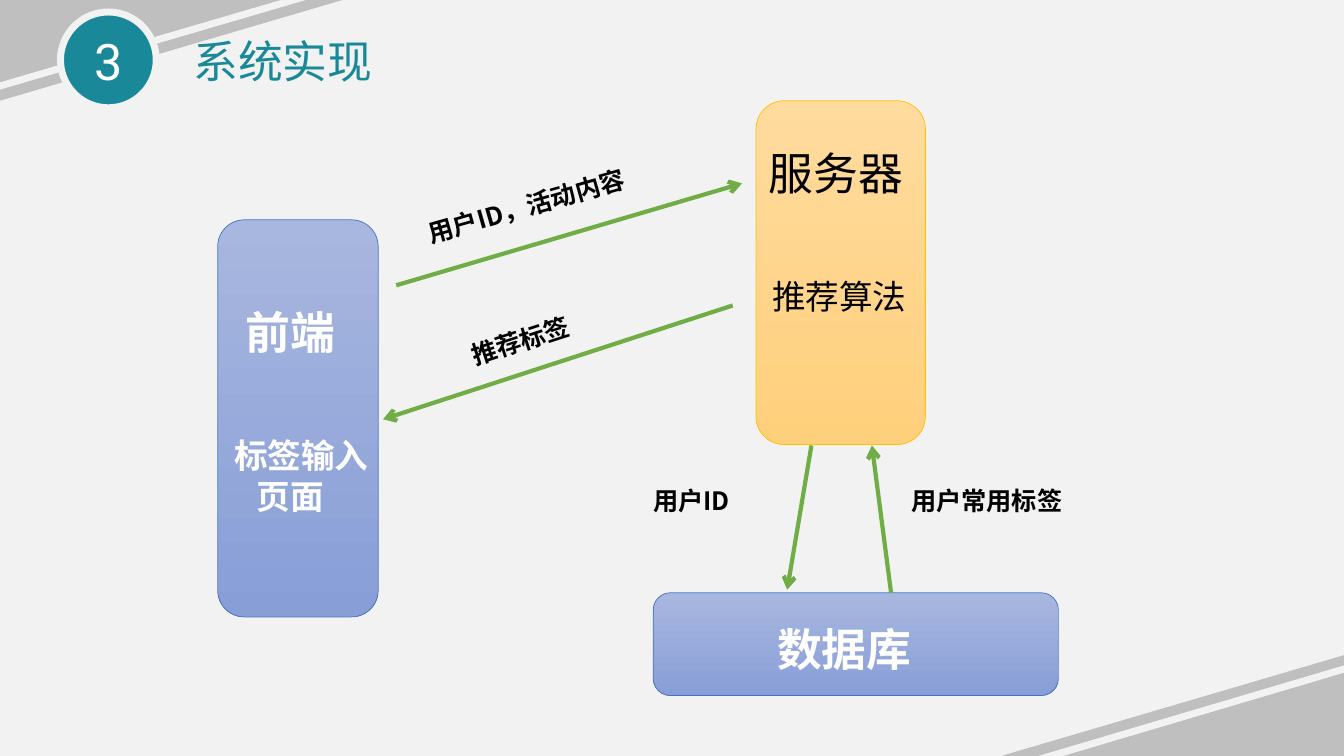
from lxml.etree import SubElement
from pptx import Presentation
from pptx.dml.color import RGBColor
from pptx.enum.shapes import MSO_CONNECTOR as Link, MSO_SHAPE as Kind
from pptx.enum.text import MSO_ANCHOR as Anchor, MSO_AUTO_SIZE as Auto, PP_ALIGN as Align
from pptx.oxml.ns import qn
from pptx.util import Pt

PAPER, GREY, TEAL = "F2F2F2", "BFBFBF", "198898"
GREEN, WHITE, BLACK = "70AD47", "FFFFFF", "000000"
BLUES = ("A8B7DF", "889ED7", "4472C4")
GOLDS = ("FFDB9E", "FFD07C", "FFC000")
NOTO = "Noto Sans CJK SC"


def tint(code):
    """Turn a hex string into a colour."""
    return RGBColor.from_string(code)


def add_form(slide, kind, box):
    """Add a preset shape without shadow."""
    form = slide.shapes.add_shape(kind, *map(Pt, box))
    form.shadow.inherit = False
    return form


def add_corner(slide, left, top, flip):
    """Add a grey corner triangle, mirrored along one axis."""
    form = add_form(slide, Kind.RIGHT_TRIANGLE, (left, top, 244.8, 72))
    form.fill.solid()
    form.fill.fore_color.rgb = tint(GREY)
    form.line.fill.background()
    form.element.spPr.get_or_add_xfrm().set(flip, "1")


def add_line(slide, ends, color, width, arrow=True):
    """Add a straight line, with an arrowhead at its end if wanted."""
    line = slide.shapes.add_connector(Link.STRAIGHT, *map(Pt, ends))
    line.line.color.rgb = tint(color)
    line.line.width = Pt(width)
    props = line.element.spPr
    if arrow:
        SubElement(props.find(qn("a:ln")), qn("a:tailEnd"), type="arrow")
    SubElement(props, qn("a:effectLst"))


def add_badge(slide, box, text):
    """Add the round section number."""
    form = add_form(slide, Kind.OVAL, box)
    form.fill.solid()
    form.fill.fore_color.rgb = tint(TEAL)
    form.line.color.rgb = tint(PAPER)
    form.line.width = Pt(5)
    frame = form.text_frame
    frame.text = text
    frame.vertical_anchor = Anchor.MIDDLE
    para = frame.paragraphs[0]
    para.alignment = Align.CENTER
    style(para, 36, WHITE, "Roboto", False)


def add_card(slide, box, colors):
    """Add a rounded card with a vertical gradient."""
    top, base, edge = colors
    form = add_form(slide, Kind.ROUNDED_RECTANGLE, box)
    form.fill.gradient()
    form.fill.gradient_angle = 270
    for stop, code in zip(form.fill.gradient_stops, (top, base)):
        stop.color.rgb = tint(code)
    form.line.color.rgb = tint(edge)
    form.line.width = Pt(0.5)


def style(para, size, color, font, bold):
    """Format every run of a paragraph."""
    for run in para.runs:
        run.font.size = Pt(size)
        run.font.bold = bold
        run.font.name = font
        run.font.color.rgb = tint(color)
        if font == NOTO:
            SubElement(run.font._element, qn("a:ea"), typeface=font)


def add_text(slide, box, lines, color=BLACK, font="Arial", bold=False, turn=0):
    """Add a text box of (text, size, indent, space before) lines."""
    label = slide.shapes.add_textbox(*map(Pt, box))
    label.rotation = turn
    frame = label.text_frame
    frame.word_wrap = True
    frame.auto_size = Auto.SHAPE_TO_FIT_TEXT
    frame.text = "\n".join(line[0] for line in lines)
    for para, (_, size, indent, gap) in zip(frame.paragraphs, lines):
        props = para._p.get_or_add_pPr()
        props.set("marL", str(Pt(indent)))
        props.set("indent", "0")
        if gap:
            para.space_before = Pt(gap)
        style(para, size, color, font, bold)


def main():
    """Build the system diagram slide."""
    deck = Presentation()
    deck.slide_width, deck.slide_height = Pt(960), Pt(540)
    slide = deck.slides.add_slide(deck.slide_layouts[6])
    slide.background.fill.solid()
    slide.background.fill.fore_color.rgb = tint(PAPER)

    add_corner(slide, 0, 0, "flipV")
    add_line(slide, (324.7, -33.8, -11.5, 64.8), PAPER, 5, False)
    add_badge(slide, (43.2, 8.6, 68.4, 68.4), "3")
    add_corner(slide, 715.2, 468, "flipH")
    add_line(slide, (704.2, 553.7, 1039.7, 454.3), PAPER, 5, False)
    add_text(slide, (131, 20.2, 409.7, 46), [("系统实现", 32, 0, 0)], TEAL, "Calibri")

    add_card(slide, (155.5, 157, 114.7, 283.7), BLUES)
    add_card(slide, (540, 72, 121, 245.5), GOLDS)
    add_card(slide, (466.6, 423.4, 289.4, 73.4), BLUES)

    front = [("前端", 32, 13.4, 0), ("标签输入", 24, 5.4, 55.2), ("页面", 24, 21.5, 0)]
    add_text(slide, (154.8, 213.8, 122.4, 160.6), front, WHITE, bold=True)
    add_text(slide, (535, 100.8, 136, 45.4), [("服务器", 32, 7.2, 0)])
    add_text(slide, (536.4, 193.7, 140.4, 36), [("推荐算法", 24, 8, 0)])
    add_text(slide, (512, 440.6, 183, 45.4), [("数据库", 32, 36, 0)], WHITE, bold=True)

    flows = [
        (283, 203.8, 530, 131),
        (523.4, 218.2, 273.6, 299.5),
        (579.6, 318.2, 562.3, 421.2),
        (636.5, 423.4, 622.8, 318.2),
    ]
    for ends in flows:
        add_line(slide, ends, GREEN, 3)

    notes = [
        ("用户ID，活动内容", 295.2, 123.1, 229, 344),
        ("推荐标签", 326.9, 216.7, 165.6, 342),
        ("用户ID", 459.4, 343.4, 105.1, 0),
        ("用户常用标签", 643.7, 343.4, 124, 0),
    ]
    for text, left, top, width, turn in notes:
        box = (left, top, width, 28.8)
        add_text(slide, box, [(text, 18, 0, 0)], font=NOTO, bold=True, turn=turn)

    deck.save("out.pptx")


if __name__ == "__main__":
    main()
